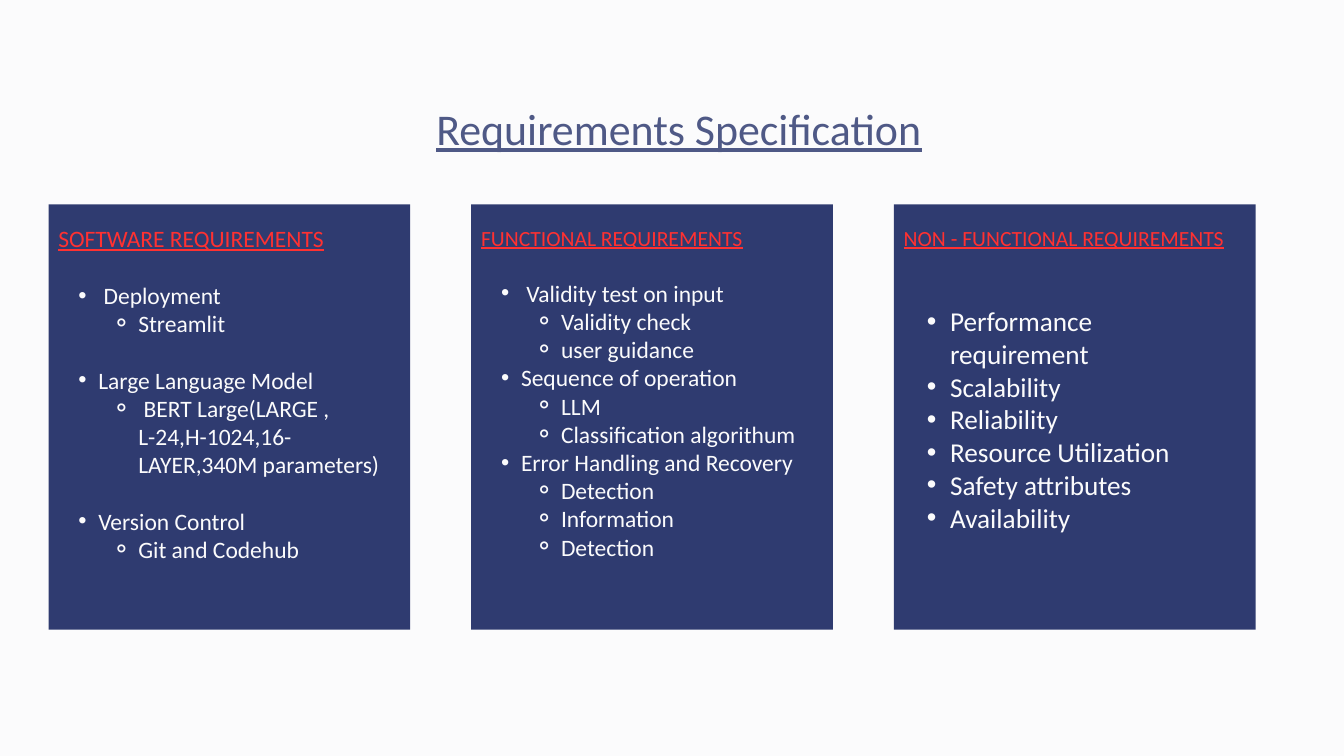
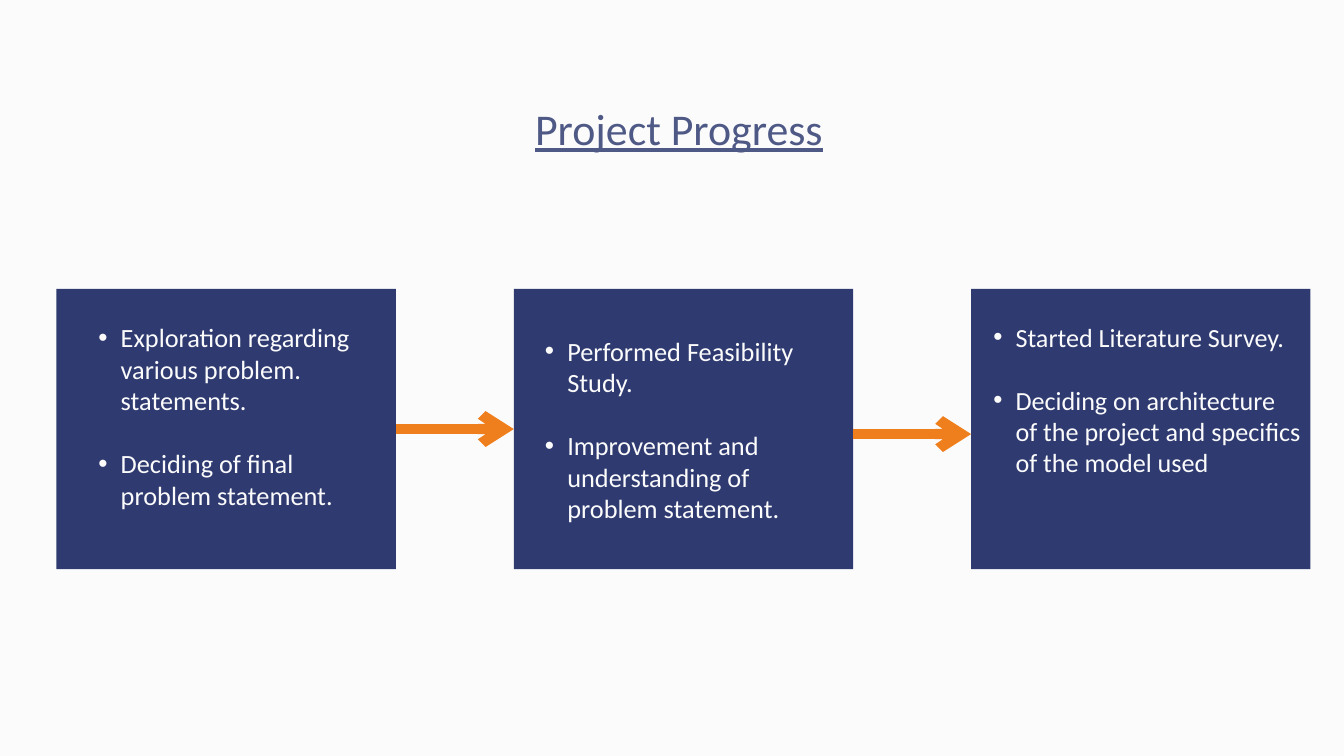
import lxml.etree
import pptx
import pptx.dml.color
import pptx.enum.shapes
import pptx.enum.text
import pptx.oxml.ns
import pptx.util

Pt = pptx.util.Pt
RGBColor = pptx.dml.color.RGBColor
qn = pptx.oxml.ns.qn
ALIGN = pptx.enum.text.PP_ALIGN

PAPER = RGBColor(0xFB, 0xFB, 0xFC)
NAVY = RGBColor(0x2F, 0x3B, 0x70)
SLATE = RGBColor(0x4F, 0x59, 0x86)
RED = RGBColor(0xFF, 0x31, 0x31)
ORANGE = RGBColor(0xEF, 0x7F, 0x1C)

FONT = "Calibri"
LINE_FACTOR = 1.2
TITLE_BOX = (95.8, 108.7, 1263.6, 56.2)
COMPARISON_LAYOUT = 4
LIST_SLOTS = (1, 2, 3)
SPARE_SLOT = 4
BULLETS = {1: ("•", 1.7, 0.85), 2: ("⚬", 3.4, 1.13)}

REQUIREMENTS = [
    {"heading": "SOFTWARE REQUIREMENTS", "heading_size": 25.2, "size": 25.2, "height": 420.5,
     "items": [(1, " Deployment", 30.2), (2, "Streamlit", 0),
               (1, "Large Language Model", 30.2),
               (2, " BERT Large(LARGE , L-24,H-1024,16-LAYER,340M parameters)", 0),
               (1, "Version Control", 30.2), (2, "Git and Codehub", 0)]},
    {"heading": "FUNCTIONAL REQUIREMENTS", "heading_size": 23.2, "size": 25.2, "height": 448.6,
     "items": [(1, " Validity test on input", 30.2), (2, "Validity check", 0), (2, "user guidance", 0),
               (1, "Sequence of operation", 0), (2, "LLM", 0), (2, "Classification algorithum", 0),
               (1, "Error Handling and Recovery", 0), (2, "Detection", 0),
               (2, "Information", 0), (2, "Detection", 0)]},
    {"heading": "NON - FUNCTIONAL REQUIREMENTS", "heading_size": 23.2, "size": 29.2, "height": 390.2,
     "items": [(1, "Performance requirement", 58), (1, "Scalability", 0), (1, "Reliability", 0),
               (1, "Resource Utilization", 0), (1, "Safety attributes", 0), (1, "Availability", 0)]},
]

STAGES = [
    {"size": 28.2, "inset": (20.9, 34.6, 320.4, 234.7),
     "items": [(1, "Exploration regarding various problem. statements.", 0),
               (1, "Deciding of final problem statement.", 33.9)]},
    {"size": 28.2, "inset": (9.4, 49, 320.4, 202.3),
     "items": [(1, "Performed Feasibility Study.", 0),
               (1, "Improvement and understanding of problem statement.", 33.9)]},
    {"size": 28, "inset": (0, 34.6, 352.8, 234.7),
     "items": [(1, "Started Literature Survey.", 0),
               (1, "Deciding on architecture of the project and specifics of the model used", 33.6)]},
]


def apply_format(target, values):
    """Set every attribute named in a dict of format values."""
    for name, value in values.items():
        setattr(target, name, value)


def place_text(shape, box):
    """Move a placeholder to a box, in front of earlier shapes, and clear its margins."""
    apply_format(shape, dict(zip(("left", "top", "width", "height"), map(Pt, box))))
    apply_format(shape.text_frame, {
        "margin_left": 0, "margin_top": 0, "margin_right": 0, "margin_bottom": 0,
        "word_wrap": True, "auto_size": pptx.enum.text.MSO_AUTO_SIZE.NONE,
        "vertical_anchor": pptx.enum.text.MSO_ANCHOR.TOP})
    shape.element.getparent().append(shape.element)


def write_para(para, text, size, color, level=0, gap=0, underline=False, align=ALIGN.LEFT):
    """Write one paragraph, with the bullet and indent of its level."""
    apply_format(para, {"level": level, "alignment": align, "line_spacing": Pt(size * LINE_FACTOR),
                        "space_before": Pt(gap), "space_after": Pt(0)})
    span = para.add_run()
    span.text = text
    apply_format(span.font, {"name": FONT, "size": Pt(size), "bold": False, "underline": underline})
    span.font.color.rgb = color
    mark, indent, hang = BULLETS.get(level, (None, 0, 0))
    properties = para._p.get_or_add_pPr()
    properties.set("marL", str(Pt(size * indent)))
    properties.set("indent", str(-Pt(size * hang)))
    if mark:
        lxml.etree.SubElement(properties, qn("a:buChar")).set("char", mark)
    else:
        lxml.etree.SubElement(properties, qn("a:buNone"))


def add_page(deck, title):
    """Add a page with its background and underlined title."""
    page = deck.slides.add_slide(deck.slide_layouts[COMPARISON_LAYOUT])
    page.background.fill.solid()
    page.background.fill.fore_color.rgb = PAPER
    spare = page.placeholders[SPARE_SLOT].element
    spare.getparent().remove(spare)
    place_text(page.shapes.title, TITLE_BOX)
    write_para(page.shapes.title.text_frame.paragraphs[0], title, 47, SLATE,
               underline=True, align=ALIGN.CENTER)
    return page


def add_card(page, slot, box, inset, content):
    """Draw a navy card and put a list on it, inset from the card's corner."""
    left, top, width, height = box
    card = page.shapes.add_shape(pptx.enum.shapes.MSO_SHAPE.RECTANGLE, *map(Pt, box))
    card.shadow.inherit = False
    card.fill.solid()
    card.fill.fore_color.rgb = NAVY
    card.line.fill.background()
    right, down, text_width, text_height = inset
    listing = page.placeholders[slot]
    place_text(listing, (left + right, top + down, text_width, text_height))
    rows = [{"text": text, "size": content["size"], "color": PAPER, "level": level, "gap": gap}
            for level, text, gap in content["items"]]
    if "heading" in content:
        rows.insert(0, {"text": content["heading"], "size": content["heading_size"],
                        "color": RED, "underline": True})
    frame = listing.text_frame
    for number, row in enumerate(rows):
        write_para(frame.add_paragraph() if number else frame.paragraphs[0], **row)
    return card


def add_arrow(page, start, end, middle):
    """Draw a thick orange arrow to the right at a given height."""
    arrow = page.shapes.add_connector(pptx.enum.shapes.MSO_CONNECTOR.STRAIGHT,
                                      Pt(start), Pt(middle), Pt(end), Pt(middle))
    arrow.line.color.rgb = ORANGE
    arrow.line.width = Pt(11)
    lxml.etree.SubElement(arrow.line._get_or_add_ln(), qn("a:tailEnd")).set("type", "arrow")
    lxml.etree.SubElement(arrow._element.spPr, qn("a:effectLst"))
    return arrow


def build_requirements(deck):
    """Build the page with three requirement cards."""
    page = add_page(deck, "Requirements Specification")
    left, top, width, height, pitch = 52, 218.9, 387.4, 455.8, 452.9
    for column, (slot, content) in enumerate(zip(LIST_SLOTS, REQUIREMENTS)):
        add_card(page, slot, (left + column * pitch, top, width, height),
                 (10.5, 21.6, 356.4, content["height"]), content)


def build_progress(deck):
    """Build the page with three stages joined by arrows."""
    page = add_page(deck, "Project Progress")
    left, top, width, height, pitch = 60.5, 309.6, 363.6, 300.2, 490
    cards = [add_card(page, slot, (left + column * pitch, top, width, height),
                      content["inset"], content)
             for column, (slot, content) in enumerate(zip(LIST_SLOTS, STAGES))]
    middle = top + height / 2
    first, second = [add_arrow(page, left + column * pitch + width, left + (column + 1) * pitch,
                               middle + drop) for column, drop in enumerate((0, 5.4))]
    first.begin_connect(cards[0], 3)
    first.end_connect(cards[1], 1)


def main():
    """Build and save the deck."""
    deck = pptx.Presentation()
    apply_format(deck, {"slide_width": Pt(1440), "slide_height": Pt(810)})
    build_requirements(deck)
    build_progress(deck)
    deck.save("out.pptx")


if __name__ == "__main__":
    main()
